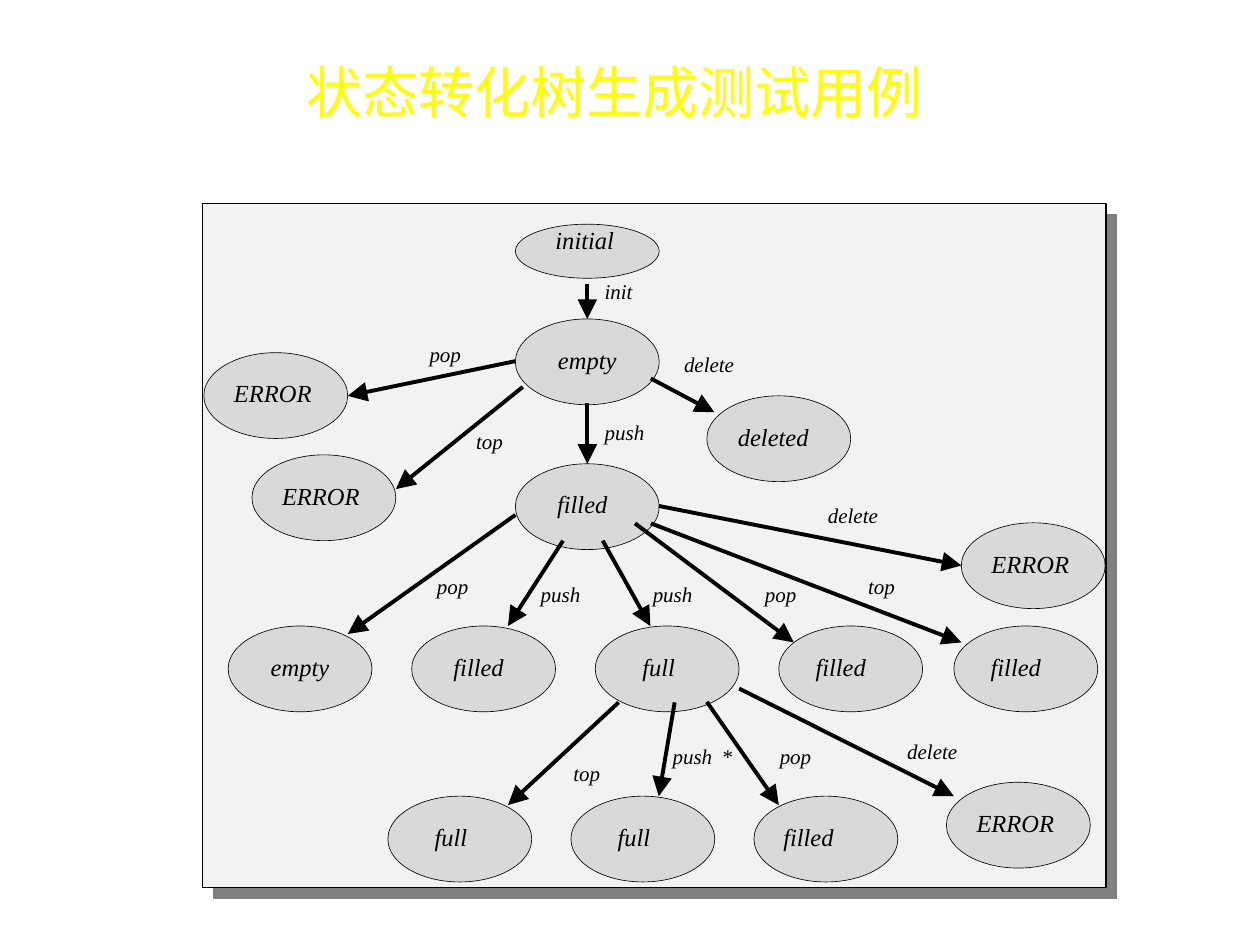
import pptx
import pptx.dml.color
import pptx.enum.shapes
import pptx.enum.text
import pptx.oxml.ns
import pptx.util
from lxml import etree

Cm, Pt = pptx.util.Cm, pptx.util.Pt
RGBColor = pptx.dml.color.RGBColor
SHAPE = pptx.enum.shapes.MSO_SHAPE
ALIGN = pptx.enum.text.PP_ALIGN
ANCHOR = pptx.enum.text.MSO_ANCHOR
qn = pptx.oxml.ns.qn

BLACK = RGBColor(0x00, 0x00, 0x00)
YELLOW = RGBColor(0xFF, 0xFF, 0x00)
PANEL_GREY = RGBColor(0xF2, 0xF2, 0xF2)
NODE_GREY = RGBColor(0xD9, 0xD9, 0xD9)
SHADOW_GREY = RGBColor(0x80, 0x80, 0x80)

NODE_W, NODE_H = 2.9, 1.73
CENTRE_X = 10.39
LEAF_Y, BOTTOM_Y = 12.62, 16.05

# text, left, top, how far the text sits left of the centre
NODES = [
    ("empty", CENTRE_X, 6.43, 0),
    ("filled", CENTRE_X, 9.35, 0.1),
    ("deleted", 14.25, 7.98, 0.11),
    ("ERROR", 4.11, 7.11, 0.06),
    ("ERROR", 5.08, 9.17, 0.06),
    ("ERROR", 19.38, 10.54, 0.06),
    ("ERROR", 19.08, 15.77, 0.06),
    ("filled", 19.23, LEAF_Y, 0.2),
]
LEAVES = [("empty", 0), ("filled", 0.1), ("full", 0.17), ("filled", 0.2)]
BOTTOM_LEAVES = [("full", 0.18), ("full", 0.18), ("filled", 0.35)]

# label, label left and top, arrow start, arrow end
TRANSITIONS = [
    ("init", (12.19, 5.61), (11.84, 5.72), (11.84, 6.43)),
    ("pop", (8.66, 6.88), (10.39, 7.28), (7.01, 7.98)),
    ("top", (9.6, 8.64), (10.54, 7.8), (7.98, 9.86)),
    ("push", (12.19, 8.46), (11.84, 8.13), (11.84, 9.35)),
    ("delete", (13.79, 7.09), (13.12, 7.63), (14.4, 8.31)),
    ("pop", (8.81, 11.56), (10.39, 10.38), (7.01, 12.78)),
    ("push", (10.9, 11.73), (11.35, 10.9), (10.24, 12.62)),
    ("push", (13.16, 11.73), (12.15, 10.9), (13.11, 12.62)),
    ("pop", (15.42, 11.73), (12.8, 10.55), (16, 12.95)),
    ("top", (17.5, 11.56), (13.12, 10.55), (19.38, 12.95)),
    ("delete", (16.69, 10.13), (13.28, 10.2), (19.38, 11.4)),
    ("top", (11.56, 15.34), (12.47, 14.16), (10.24, 16.23)),
    ("push", (13.56, 14.99), (13.6, 14.16), (13.28, 16.05)),
    ("pop", (15.72, 14.99), (14.25, 14.15), (15.7, 16.23)),
    ("delete", (18.29, 14.88), (14.9, 13.88), (19.23, 16.05)),
]


class Diagram:
    font = "Times New Roman"
    title_font = "Noto Sans CJK SC"

    def __init__(self, slide):
        self.slide = slide

    def title(self, text, x, y, w, h):
        sp = self.slide.shapes.title
        sp.left, sp.top, sp.width, sp.height = Cm(x), Cm(y), Cm(w), Cm(h)
        tf = sp.text_frame
        tf.vertical_anchor = ANCHOR.MIDDLE
        p = tf.paragraphs[0]
        p.alignment = ALIGN.CENTER
        p.line_spacing = 0.9
        r = p.add_run()
        r.text = text
        r.font.size, r.font.name = Pt(32), self.title_font
        r.font.color.rgb = YELLOW
        ea = etree.SubElement(r.font._element, qn("a:ea"))
        ea.set("typeface", self.title_font)

    def shape(self, kind, x, y, w, h, fill, line_width):
        sp = self.slide.shapes.add_shape(kind, Cm(x), Cm(y), Cm(w), Cm(h))
        sp.shadow.inherit = False
        sp.fill.solid()
        sp.fill.fore_color.rgb = fill
        sp.line.color.rgb = BLACK
        sp.line.width = Pt(line_width)
        return sp

    def panel(self, x, y, w, h):
        """Rectangle with a hard shadow to the lower right."""
        sp = self.shape(SHAPE.RECTANGLE, x, y, w, h, PANEL_GREY, 0.75)
        effects = sp._element.spPr.find(qn("a:effectLst"))
        shadow = etree.SubElement(effects, qn("a:outerShdw"), dist=str(Pt(8.5)),
                                  dir="2700000", algn="tl", rotWithShape="0")
        etree.SubElement(shadow, qn("a:srgbClr"), val=str(SHADOW_GREY))

    def set_text(self, tf, text, size):
        tf.margin_left = tf.margin_right = tf.margin_top = tf.margin_bottom = 0
        p = tf.paragraphs[0]
        p.text = text
        p.font.name, p.font.size, p.font.italic = self.font, Pt(size), True
        p.font.color.rgb = BLACK
        return p

    def node(self, text, x, y, shift=0, h=NODE_H, lift=0.05):
        """Ellipse whose text sits shift left of and lift above its centre."""
        sp = self.shape(SHAPE.OVAL, x, y, NODE_W, h, NODE_GREY, 0.38)
        tf = sp.text_frame
        tf.word_wrap = False
        tf.vertical_anchor = ANCHOR.MIDDLE
        self.set_text(tf, text, 14).alignment = ALIGN.CENTER
        tf.margin_right, tf.margin_bottom = Cm(2 * shift), Cm(2 * lift)

    def label(self, text, x, y):
        sp = self.slide.shapes.add_textbox(Cm(x), Cm(y), Cm(1.15), Cm(0.56))
        sp.text_frame.word_wrap = True
        self.set_text(sp.text_frame, text, 12)

    def arrow(self, start, end):
        points = [Cm(v) for v in start + end]
        c = self.slide.shapes.add_connector(
            pptx.enum.shapes.MSO_CONNECTOR.STRAIGHT, *points)
        c.line.color.rgb = BLACK
        c.line.width = Pt(2.25)
        spPr = c._element.spPr
        etree.SubElement(spPr.find(qn("a:ln")), qn("a:tailEnd"),
                         type="triangle", w="lg", len="lg")
        etree.SubElement(spPr, qn("a:effectLst"))


def main():
    prs = pptx.Presentation()
    prs.slide_width, prs.slide_height = Cm(25.4), Cm(19.05)
    d = Diagram(prs.slides.add_slide(prs.slide_layouts[5]))
    d.title("状态转化树生成测试用例", 4.09, 1.32, 16.61, 1.19)
    d.panel(4.09, 4.11, 18.21, 13.79)

    d.node("initial", CENTRE_X, 4.52, 0.05, h=1.09, lift=0.24)
    for node in NODES:
        d.node(*node)
    for i, (text, shift) in enumerate(LEAVES):
        d.node(text, 4.6 + 3.7 * i, LEAF_Y, shift)
    for i, (text, shift) in enumerate(BOTTOM_LEAVES):
        d.node(text, 7.82 + 3.69 * i, BOTTOM_Y, shift)

    for text, position, start, end in TRANSITIONS:
        d.arrow(start, end)
        d.label(text, *position)
    d.label("*", 14.55, 14.99)

    prs.save("out.pptx")


if __name__ == "__main__":
    main()
